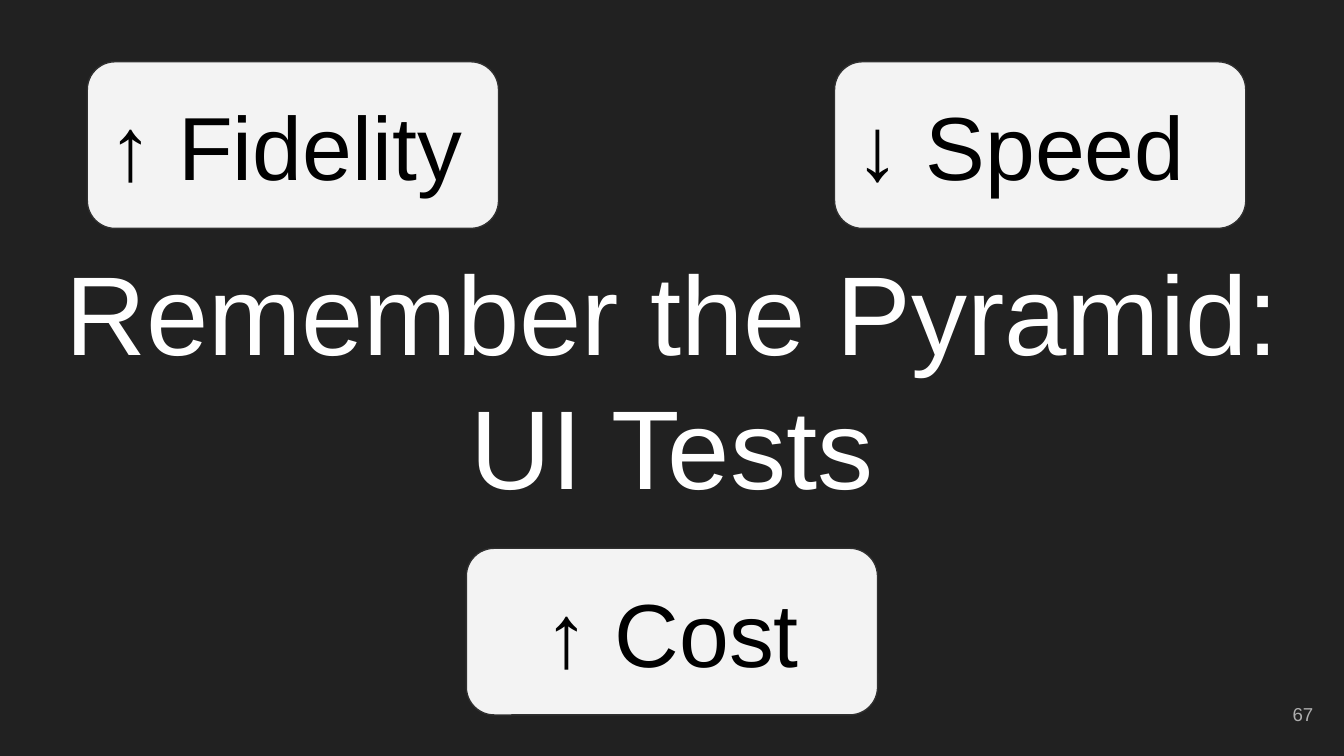
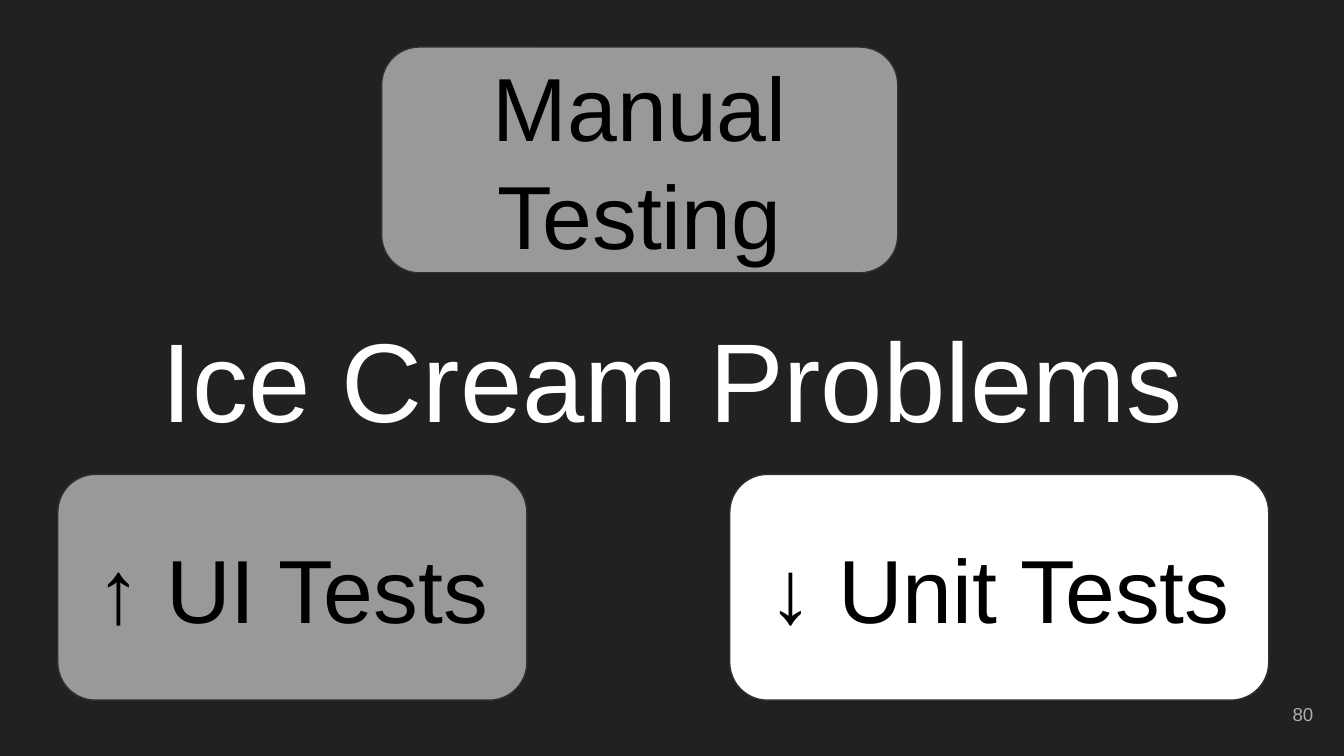
from pptx import Presentation
from pptx.dml.color import RGBColor
from pptx.enum.shapes import MSO_SHAPE as Shape
from pptx.enum.text import MSO_ANCHOR as Anchor, PP_ALIGN as Align
from pptx.util import Inches, Pt

BACKGROUND = "212121"
CARD_LINE = "303030"
LIGHT, GREY, WHITE = "F3F3F3", "999999", "FFFFFF"
TITLE_AREA = (0.34, 2.35, 9.32, 0.92)
NUMBER_AREA = (9.27, 5.1, 0.6, 0.43)
CARD_ROUNDING = 0.167

TITLE_STYLE = {"size": 60, "color": WHITE, "align": Align.CENTER}
NUMBER_STYLE = {"size": 10, "color": "ADADAD", "align": Align.RIGHT}
CARD_STYLE = {"size": 48, "color": "000000"}

SLIDES = [
    {
        "title": ["Remember the Pyramid:", "UI Tests"],
        "number": "67",
        "card_height": 1.24,
        "cards": [
            ("↑ Fidelity", 0.65, 0.46, 3.06, LIGHT, Align.LEFT),
            ("↓ Speed", 6.21, 0.46, 3.06, LIGHT, Align.LEFT),
            ("↑ Cost", 3.47, 4.08, 3.06, LIGHT, Align.CENTER),
        ],
    },
    {
        "title": ["Ice Cream Problems"],
        "number": "80",
        "card_height": 1.68,
        "cards": [
            ("Manual Testing", 2.84, 0.35, 3.84, GREY, Align.CENTER),
            ("↑ UI Tests", 0.43, 3.53, 3.49, GREY, Align.CENTER),
            ("↓ Unit Tests", 5.43, 3.53, 4.01, WHITE, Align.CENTER),
        ],
    },
]


def rgb(value):
    return RGBColor.from_string(value)


def paint(fill, color):
    fill.solid()
    fill.fore_color.rgb = rgb(color)


def write(box, lines, size, color, align):
    frame = box.text_frame
    frame_format = {"word_wrap": True, "vertical_anchor": Anchor.MIDDLE}
    for side in ("left", "top", "right", "bottom"):
        frame_format[f"margin_{side}"] = Inches(0.1)
    for name, value in frame_format.items():
        setattr(frame, name, value)
    for index, line in enumerate(lines):
        para = frame.add_paragraph() if index else frame.paragraphs[0]
        para.alignment = align
        span = para.add_run()
        span.text = line
        for name, value in {"name": "Arial", "size": Pt(size)}.items():
            setattr(span.font, name, value)
        span.font.color.rgb = rgb(color)


def add_text(page, area, lines, style):
    box = page.shapes.add_textbox(*map(Inches, area))
    write(box, lines, **style)


def add_card(page, area, label, color, align):
    card = page.shapes.add_shape(Shape.ROUNDED_RECTANGLE, *map(Inches, area))
    card.adjustments[0] = CARD_ROUNDING
    card.shadow.inherit = False
    paint(card.fill, color)
    paint(card.line.fill, CARD_LINE)
    card.line.width = Pt(0.75)
    write(card, [label], align=align, **CARD_STYLE)


def main():
    deck = Presentation()
    deck.slide_width, deck.slide_height = Inches(10), Inches(5.625)
    for content in SLIDES:
        page = deck.slides.add_slide(deck.slide_layouts[6])
        paint(page.background.fill, BACKGROUND)
        add_text(page, TITLE_AREA, content["title"], TITLE_STYLE)
        add_text(page, NUMBER_AREA, [content["number"]], NUMBER_STYLE)
        for label, left, top, width, color, align in content["cards"]:
            area = (left, top, width, content["card_height"])
            add_card(page, area, label, color, align)
    deck.save("out.pptx")


if __name__ == "__main__":
    main()
